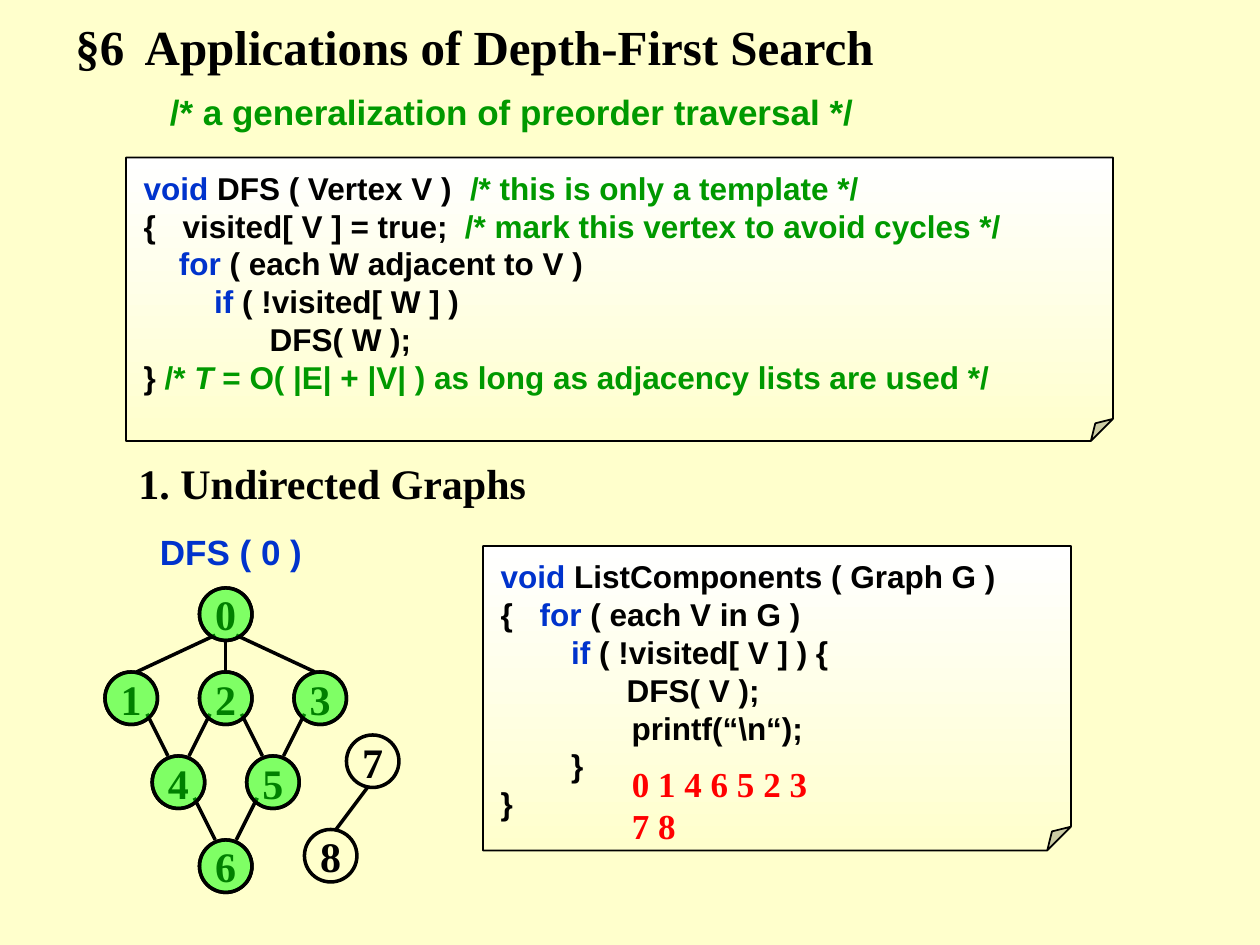
from lxml import etree
from pptx import Presentation
from pptx.dml.color import RGBColor
from pptx.enum.shapes import MSO_CONNECTOR, MSO_SHAPE
from pptx.enum.text import MSO_ANCHOR, PP_ALIGN
from pptx.oxml.ns import qn
from pptx.util import Inches, Pt

LINE = MSO_CONNECTOR.STRAIGHT
OVAL, NOTE = MSO_SHAPE.OVAL, MSO_SHAPE.FOLDED_CORNER
TOP, MID = MSO_ANCHOR.TOP, MSO_ANCHOR.MIDDLE
LEFT, MIDDLE = PP_ALIGN.LEFT, PP_ALIGN.CENTER
SANS, SERIF = "Arial", "Times New Roman"
CREAM, WHITE, BLACK = "FFFFCC", "FFFFFF", "000000"
BLUE, GREEN, RED, LIME = "0033CC", "009900", "FF0000", "00FF00"
SIZE = 5  # node diameter in grid units

# Each code line: indent, tab stops (inches), runs of (text, colour)
SEARCH = [
    (0, (2.59,), [("void", BLUE), (" DFS ( Vertex V )\t", BLACK),
                  ("/* this is only a template */", GREEN)]),
    (0, (0.31, 2.55), [("{\tvisited[ V ] = true;\t", BLACK),
                       ("/* mark this vertex to avoid cycles */", GREEN)]),
    (0.28, (), [("for", BLUE), (" ( each W adjacent to V )", BLACK)]),
    (0.56, (), [("if", BLUE), (" ( !visited[ W ] )", BLACK)]),
    (1, (), [("DFS( W );", BLACK)]),
    (0, (), [("} ", BLACK), ("/* ", GREEN), ("T", GREEN),
             (" = O( |E| + |V| ) as long as adjacency lists are used */", GREEN)]),
]
LISTING = [
    (0, (), [("void", BLUE), (" ListComponents ( Graph G )", BLACK)]),
    (0, (0.31,), [("{\t", BLACK), ("for", BLUE), (" ( each V in G )", BLACK)]),
    (0.56, (), [("if", BLUE), (" ( !visited[ V ] ) {", BLACK)]),
    (1, (), [("DFS( V );", BLACK)]),
    (1.04, (), [("printf(“\\n“);", BLACK)]),
    (0.56, (), [("}", BLACK)]),
    (0, (), [("}", BLACK)]),
]

# Node places, relative to the graph's corner
NODES = [(9, 0), (0, 8), (9, 8), (18, 8), (4.5, 16), (13.5, 16), (9, 24),
         (23, 14), (19, 23)]
SEEN = range(7)
# Edges: start offset from the upper centre, sideways end offset, node pairs
EDGES = [
    ((1, 2), 0.5, [(0, 1), (0, 3)]),
    ((0, 2.5), 0, [(0, 2)]),
    ((1.5, 1.5), 1, [(1, 4), (2, 4), (2, 5), (3, 5), (4, 6), (5, 6)]),
    ((0.5, 2.5), 0.5, [(7, 8)]),
]


def grid(*units):
    """Turn grid units of a twelfth of an inch into lengths."""
    return [Inches(unit / 12) for unit in units]


def rgb(code):
    return RGBColor.from_string(code)


def style(run, font, size, color):
    run.font.name, run.font.size, run.font.bold = font, Pt(size), True
    run.font.color.rgb = rgb(color)


def set_tabs(para, stops):
    if stops:
        tabs = etree.SubElement(para._p.get_or_add_pPr(), qn("a:tabLst"))
        for stop in stops:
            etree.SubElement(tabs, qn("a:tab"), pos=str(Inches(stop)), algn="l")


def label(slide, box, text, font, size, color,
          align=LEFT, anchor=TOP, wrap=True, stops=()):
    frame = slide.shapes.add_textbox(*grid(*box)).text_frame
    frame.word_wrap, frame.vertical_anchor = wrap, anchor
    frame.text = text
    for para in frame.paragraphs:
        para.alignment = align
        set_tabs(para, stops)
        for run in para.runs:
            style(run, font, size, color)


def code(slide, box, lines):
    note = slide.shapes.add_shape(NOTE, *grid(*box))
    note.shadow.inherit = False
    fold = note._element.spPr.find(qn("a:prstGeom")).get_or_add_avLst()
    etree.SubElement(fold, qn("a:gd"), name="adj", fmla="val 7800")
    note.line.color.rgb, note.line.width = rgb(BLACK), Pt(1)
    note.fill.gradient()
    note.fill.gradient_angle = 270
    for stop, color in zip(note.fill.gradient_stops, (WHITE, CREAM)):
        stop.color.rgb = rgb(color)

    frame = note.text_frame
    frame.word_wrap, frame.vertical_anchor = True, TOP
    frame.margin_left, frame.margin_top = Inches(0.14), Inches(0.09)
    for i, (indent, stops, runs) in enumerate(lines):
        para = frame.paragraphs[0] if i == 0 else frame.add_paragraph()
        para.alignment = LEFT
        para._p.get_or_add_pPr().set("marL", str(Inches(indent)))
        set_tabs(para, stops)
        for text, color in runs:
            run = para.add_run()
            run.text = text
            style(run, SANS, 18, color)
            if text == "T":
                run.font.italic = True


def disc(slide, x, y):
    oval = slide.shapes.add_shape(OVAL, *grid(x, y, SIZE, SIZE))
    oval.shadow.inherit = False
    oval.fill.background()
    oval.line.color.rgb, oval.line.width = rgb(BLACK), Pt(2)
    return oval


def edge(slide, start, end):
    line = slide.shapes.add_connector(LINE, *grid(*start, *end))
    line.line.color.rgb, line.line.width = rgb(BLACK), Pt(2)
    etree.SubElement(line._element.spPr, qn("a:effectLst"))


def graph(slide, left, top):
    spots = [(left + x, top + y) for x, y in NODES]
    for i, spot in enumerate(spots):
        frame = disc(slide, *spot).text_frame
        frame.word_wrap, frame.vertical_anchor = False, MID
        frame.text = str(i)
        para = frame.paragraphs[0]
        para.alignment = MIDDLE
        style(para.runs[0], SERIF, 24, BLACK)

    half = SIZE / 2
    for (dx, dy), ex, pairs in EDGES:
        for a, b in pairs:
            (ax, ay), (bx, by) = spots[a], spots[b]
            side = 1 if bx > ax else -1
            edge(slide, (ax + half + side * dx, ay + half + dy),
                 (bx + half - side * ex, by))

    for i in SEEN:
        mark = disc(slide, *spots[i])
        mark.fill.solid()
        mark.fill.fore_color.rgb = rgb(LIME)
        tint = mark._element.spPr.find(qn("a:solidFill"))[0]
        etree.SubElement(tint, qn("a:alpha"), val="50000")


def main():
    deck = Presentation()
    deck.slide_width, deck.slide_height = grid(120, 90)
    slide = deck.slides.add_slide(deck.slide_layouts[6])
    slide.background.fill.solid()
    slide.background.fill.fore_color.rgb = rgb(CREAM)

    label(slide, (6, 1, 98, 6.8), "§6\tApplications of Depth-First Search",
          SERIF, 28, BLACK, stops=(0.55,))
    label(slide, (15, 8, 73, 5.2), "/* a generalization of preorder traversal */",
          SANS, 20, GREEN)
    code(slide, (12, 15, 94, 27), SEARCH)
    label(slide, (12, 43, 44, 6), "1. Undirected Graphs", SERIF, 24, BLACK)
    label(slide, (14, 50, 16, 5), "DFS ( 0 )", SANS, 20, BLUE, MIDDLE, MID, False)
    graph(slide, 10, 56)
    code(slide, (46, 52, 56, 29), LISTING)
    label(slide, (59, 72, 22, 9.25), "0 1 4 6 5 2 3\n7 8", SERIF, 20, RED)
    deck.save("out.pptx")


if __name__ == "__main__":
    main()
